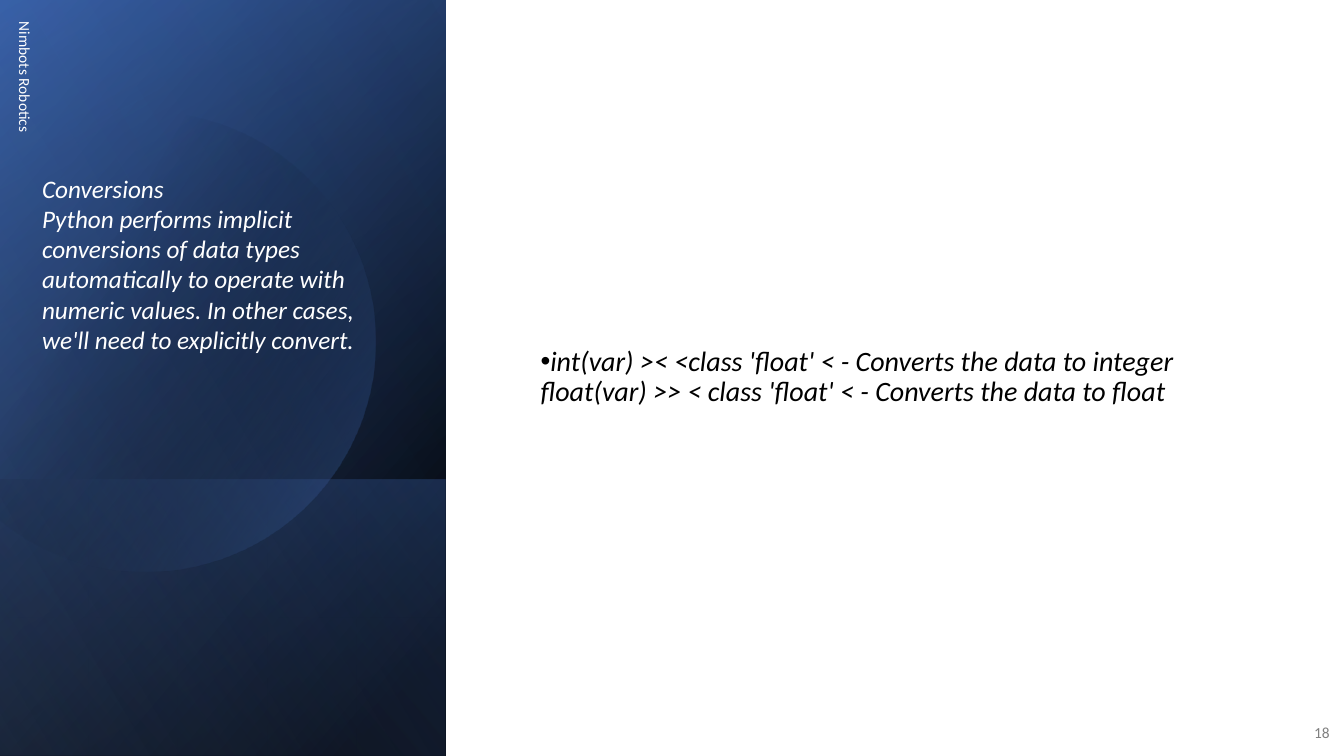
import math
from dataclasses import dataclass

from lxml import etree
from pptx import Presentation
from pptx.dml.color import RGBColor
from pptx.enum.shapes import MSO_SHAPE
from pptx.enum.text import MSO_ANCHOR, PP_ALIGN
from pptx.oxml.ns import nsdecls, qn
from pptx.oxml import parse_xml
from pptx.util import Pt

RECTANGLE = MSO_SHAPE.RECTANGLE
TOP, MIDDLE = MSO_ANCHOR.TOP, MSO_ANCHOR.MIDDLE
LEFT, RIGHT = PP_ALIGN.LEFT, PP_ALIGN.RIGHT


@dataclass(frozen=True)
class Theme:
    font: str = "Calibri"
    black: str = "000000"
    white: str = "FFFFFF"
    grey: str = "808080"
    navy: str = "2F5597"
    blue: str = "4472C4"
    pale_blue: str = "8FAADC"
    small: int = 11
    intro: int = 18
    body: int = 20


THEME = Theme()
SLIDE_WIDTH, SLIDE_HEIGHT = 960, 540
PANEL_WIDTH = 318.5
LOWER_TOP = 342.75


def fill_gradient(shape, stops, angle):
    """Fill with (position %, colour, opacity %) stops; angle runs clockwise."""
    shape.shadow.inherit = False
    shape.line.fill.background()
    shape.fill.background()
    stop_xml = "".join(
        f'<a:gs pos="{position * 1000}"><a:srgbClr val="{colour}">'
        f'<a:alpha val="{opacity * 1000}"/></a:srgbClr></a:gs>'
        for position, colour, opacity in stops
    )
    gradient = parse_xml(
        f'<a:gradFill {nsdecls("a")} rotWithShape="1"><a:gsLst>{stop_xml}</a:gsLst>'
        f'<a:lin ang="{angle * 60000}" scaled="0"/></a:gradFill>'
    )
    properties = shape._element.spPr
    properties.replace(properties.find(qn("a:noFill")), gradient)


def add_panel(slide, stops, angle, top=0):
    panel = slide.shapes.add_shape(
        RECTANGLE, 0, Pt(top), Pt(PANEL_WIDTH), Pt(SLIDE_HEIGHT - top)
    )
    fill_gradient(panel, stops, angle)


def add_disc(slide, centre_x, centre_y, radius, stops, angle):
    """Add a disc whose left side is cut off at the slide edge."""
    reach = math.acos(-centre_x / radius)
    steps = 120
    outline = []
    for step in range(steps + 1):
        turn = reach * (2 * step / steps - 1)
        outline.append((
            Pt(centre_x + radius * math.cos(turn)),
            Pt(centre_y + radius * math.sin(turn)),
        ))
    builder = slide.shapes.build_freeform(*outline[0])
    builder.add_line_segments(outline[1:], close=True)
    fill_gradient(builder.convert_to_shape(), stops, angle)


def add_bullet(paragraph, hanging):
    properties = paragraph._p.get_or_add_pPr()
    properties.set("marL", "0")
    properties.set("indent", str(-Pt(hanging)))
    etree.SubElement(properties, qn("a:buFont")).set("typeface", "Arial")
    etree.SubElement(properties, qn("a:buChar")).set("char", "•")


def add_text(slide, text, left, top, width, height, *, size, colour, italic=False,
             align=LEFT, anchor=MIDDLE, rotation=0, line_spacing=None, hanging=None):
    box = slide.shapes.add_textbox(Pt(left), Pt(top), Pt(width), Pt(height))
    box.rotation = rotation
    frame = box.text_frame
    frame.word_wrap = True
    frame.vertical_anchor = anchor
    paragraph = frame.paragraphs[0]
    paragraph.text = text
    if hanging is not None:
        add_bullet(paragraph, hanging)
    paragraph.alignment = align
    paragraph.space_after = Pt(6)
    if line_spacing:
        paragraph.line_spacing = line_spacing
    for run in paragraph.runs:
        run.font.name = THEME.font
        run.font.size = Pt(size)
        run.font.italic = italic
        run.font.color.rgb = RGBColor.from_string(colour)


def add_side_panel(slide):
    add_panel(slide, [(8, THEME.black, 100), (100, THEME.navy, 100)], 220)
    add_panel(slide, [(0, THEME.black, 0), (99, THEME.blue, 46)], 240)
    add_panel(slide, [(2, THEME.blue, 29), (100, THEME.black, 30)], 140, top=LOWER_TOP)
    add_disc(slide, 104, 244, 164.5, [(29, THEME.black, 0), (100, THEME.blue, 43)], 30)
    add_panel(slide, [(0, THEME.black, 0), (99, THEME.pale_blue, 11)], 150)


def main():
    presentation = Presentation()
    presentation.slide_width = Pt(SLIDE_WIDTH)
    presentation.slide_height = Pt(SLIDE_HEIGHT)
    slide = presentation.slides.add_slide(presentation.slide_layouts[6])

    add_side_panel(slide)
    add_text(slide, "Nimbots Robotics", -144, 156, 324, 29,
             size=THEME.small, colour=THEME.white, rotation=90)
    add_text(slide,
             "int(var) >< <class 'float' < - Converts the data to integer "
             "float(var) >> < class 'float' < - Converts the data to float",
             379, 51, 516, 437, size=THEME.body, colour=THEME.black, italic=True,
             line_spacing=0.9, hanging=18)
    add_text(slide, "18", 921.5, 508.5, 35.5, 29,
             size=THEME.small, colour=THEME.grey, align=RIGHT)
    add_text(slide,
             "Conversions\vPython performs implicit conversions of data types "
             "automatically to operate with numeric values. In other cases, "
             "we'll need to explicitly convert.",
             23, 120, 266, 144, size=THEME.intro, colour=THEME.white, italic=True,
             anchor=TOP)
    presentation.save("out.pptx")


if __name__ == "__main__":
    main()
